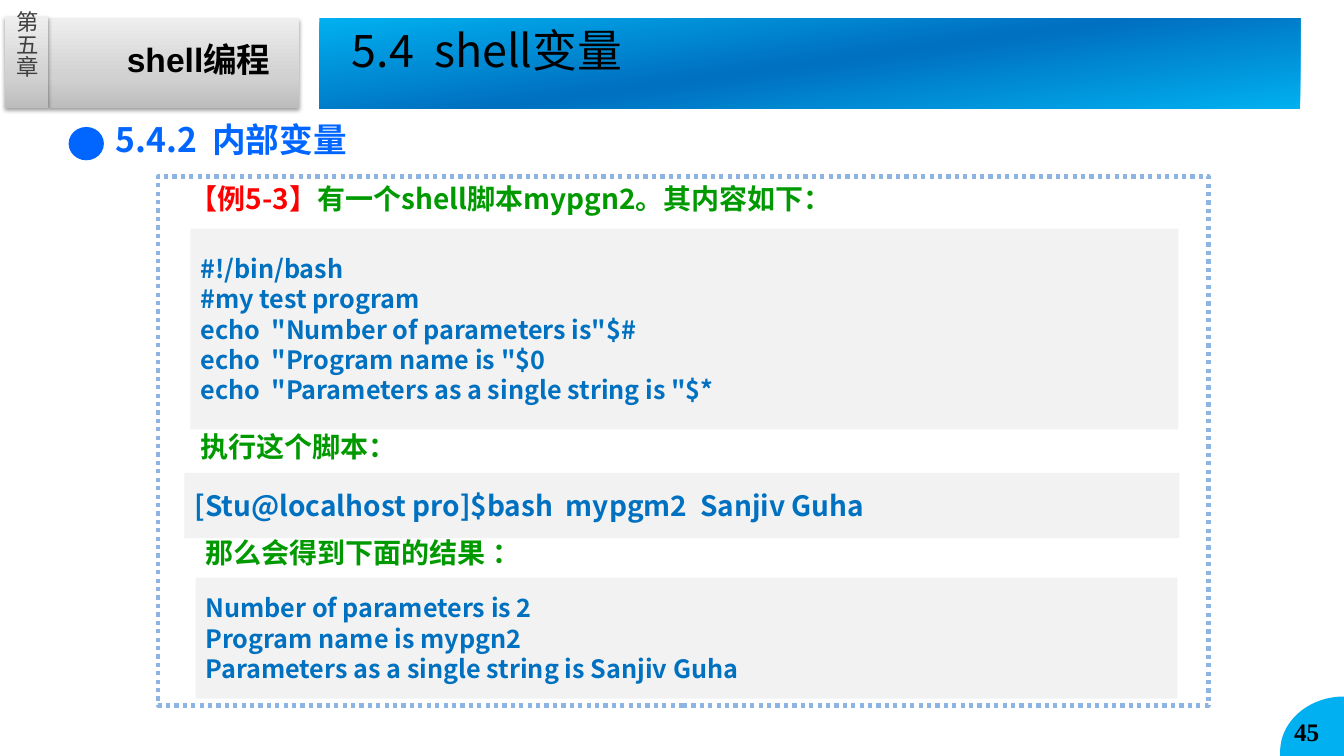
import math
from lxml import etree
from pptx import Presentation
from pptx.dml.color import RGBColor
from pptx.enum.dml import MSO_LINE
from pptx.enum.shapes import MSO_SHAPE
from pptx.enum.text import MSO_ANCHOR, MSO_AUTO_SIZE, PP_ALIGN
from pptx.oxml.ns import qn
from pptx.util import Pt

RECT, OVAL = MSO_SHAPE.RECTANGLE, MSO_SHAPE.OVAL
TOP, MIDDLE = MSO_ANCHOR.TOP, MSO_ANCHOR.MIDDLE
LEFT = PP_ALIGN.LEFT
DOTTED = MSO_LINE.ROUND_DOT
NO_FIT = MSO_AUTO_SIZE.NONE

SLIDE_W, SLIDE_H = 960, 540
SANS, ARIAL, SERIF = "Noto Sans CJK SC", "Arial", "Times New Roman"
COLORS = {
    "black": "000000", "grey": "404040", "white": "FFFFFF", "panel": "F2F2F2",
    "heading": "0066FF", "label": "009900", "example": "FF0000",
    "code": "0070C0", "frame": "8EB4E3", "corner": "00B0F0",
}
SILVER = [(0, "BDBDBD"), (35, "D1D1D1"), (100, "EEEEEE")]
BLUE = [(0, "00B0F0"), (50, "0070C0"), (100, "00B0F0")]

TITLE = "5.4  shell变量"
CHAPTER = "第五章"
COURSE = "shell编程"
HEADING = "5.4.2  内部变量"
PAGE = "45"

CHAPTER_TABS = [(34.6, 13, 179.3, 64), (3.6, 12.2, 31, 64.8)]
TITLE_BAR = (228.2, 13, 700.6, 64.8)
FRAME = (113, 126, 750.2, 378)

LABELS = [
    ((128.2, 126, 591, 36), [("【例5-3】", "example"),
                             ("有一个shell脚本mypgn2。其内容如下：", "label")]),
    ((136.1, 303.1, 582.5, 36), [("执行这个脚本：", "label")]),
    ((139.7, 378.7, 323.3, 36), [("那么会得到下面的结果 ：", "label")]),
]
PANELS = [
    ((136.1, 163.4, 705.6, 143.3), 18, [
        "#!/bin/bash",
        "#my test program",
        'echo  "Number of parameters is"$#',
        'echo  "Program name is "$0',
        'echo  "Parameters as a single string is "$*',
    ]),
    ((131.8, 337.7, 710.6, 46.8), 20, [
        "[Stu@localhost pro]$bash  mypgm2  Sanjiv Guha",
    ]),
    ((139.7, 412.6, 701.3, 86.4), 18, [
        "Number of parameters is 2",
        "Program name is mypgn2",
        "Parameters as a single string is Sanjiv Guha",
    ]),
]


def points(box):
    return [Pt(value) for value in box]


def rgb(name):
    return RGBColor.from_string(COLORS[name])


def add_block(shapes, box, fill, kind=RECT):
    block = shapes.add_shape(kind, *points(box))
    block.shadow.inherit = False
    block.line.fill.background()
    if fill:
        block.fill.solid()
        block.fill.fore_color.rgb = rgb(fill)
    return block


def add_gradient_block(shapes, box, stops, angle):
    block = add_block(shapes, box, None)
    gradient = etree.Element(qn("a:gradFill"), rotWithShape="1")
    stop_list = etree.SubElement(gradient, qn("a:gsLst"))
    for position, color in stops:
        stop = etree.SubElement(stop_list, qn("a:gs"), pos=str(position * 1000))
        etree.SubElement(stop, qn("a:srgbClr"), val=color)
    etree.SubElement(gradient, qn("a:lin"), ang=str(angle * 60000), scaled="0")
    block._element.spPr.find(qn("a:prstGeom")).addnext(gradient)
    return block


def add_drop_shadow(block):
    effects = block._element.spPr.find(qn("a:effectLst"))
    shadow = etree.SubElement(effects, qn("a:outerShdw"), blurRad=str(Pt(3.1)),
                              dist=str(Pt(1.6)), dir="5400000", rotWithShape="0")
    color = etree.SubElement(shadow, qn("a:srgbClr"), val=COLORS["black"])
    etree.SubElement(color, qn("a:alpha"), val="38000")


def write(holder, lines, size, bold=True, font=SANS, anchor=TOP, inset=True,
          spacing=1.0):
    frame = holder.text_frame
    frame.word_wrap = True
    frame.auto_size = NO_FIT
    frame.vertical_anchor = anchor
    side, edge = (7.2, 3.6) if inset else (0, 0)
    frame.margin_left = frame.margin_right = Pt(side)
    frame.margin_top = frame.margin_bottom = Pt(edge)
    for index, line in enumerate(lines):
        paragraph = frame.add_paragraph() if index else frame.paragraphs[0]
        paragraph.alignment = LEFT
        paragraph.line_spacing = spacing
        for text, color in line:
            run = paragraph.add_run()
            run.text = text
            run.font.size = Pt(size)
            run.font.bold = bold
            run.font.color.rgb = rgb(color)
            run.font.name = font
            east_asian = SANS if font == ARIAL else font
            etree.SubElement(run._r.get_or_add_rPr(), qn("a:ea"),
                             typeface=east_asian)


def add_text(shapes, box, lines, size, **style):
    holder = shapes.add_textbox(*points(box))
    write(holder, lines, size, **style)
    return holder


def add_corner(shapes):
    center_x, center_y, radius_x, radius_y = SLIDE_W, 537, 45.6, 39.5
    steps = 24
    arc = []
    for step in range(steps + 1):
        angle = math.pi / 2 * step / steps
        arc.append((Pt(center_x - radius_x * math.cos(angle)),
                    Pt(center_y - radius_y * math.sin(angle))))
    builder = shapes.build_freeform(Pt(center_x - radius_x), Pt(SLIDE_H))
    builder.add_line_segments(arc + [(Pt(SLIDE_W), Pt(SLIDE_H))], close=True)
    corner = builder.convert_to_shape()
    corner.shadow.inherit = False
    corner.fill.solid()
    corner.fill.fore_color.rgb = rgb("corner")
    corner.line.fill.background()


def main():
    deck = Presentation()
    deck.slide_width, deck.slide_height = Pt(SLIDE_W), Pt(SLIDE_H)
    slide = deck.slides.add_slide(deck.slide_layouts[5])
    shapes = slide.shapes

    for tab_box in CHAPTER_TABS:
        add_drop_shadow(add_gradient_block(shapes, tab_box, SILVER, 270))
    add_text(shapes, (83.5, 24.5, 145, 38.2), [[(COURSE, "black")]], 24, font=ARIAL)
    chapter = add_text(shapes, (8.6, 7.9, 20.9, 75.6), [[(CHAPTER, "grey")]], 16,
                       bold=False, anchor=MIDDLE, inset=False)
    chapter.text_frame._txBody.bodyPr.set("vert", "eaVert")

    add_corner(shapes)
    add_text(shapes, (917.3, 508.3, 42, 28.8), [[(PAGE, "black")]], 18, font=SERIF)

    add_gradient_block(shapes, TITLE_BAR, BLUE, 262)
    title = shapes.title
    title.left, title.top, title.width, title.height = points((251.3, 20.9, 367.2, 49.7))
    write(title, [[(TITLE, "black")]], 32, bold=False, inset=False, spacing=0.9)
    shapes._spTree.append(title._element)

    add_text(shapes, (75.6, 81.4, 304.6, 41.8), [[(HEADING, "heading")]], 24)
    add_block(shapes, (49, 90.7, 25.2, 23.8), "heading", OVAL)

    frame = add_block(shapes, FRAME, "white")
    frame.line.color.rgb = rgb("frame")
    frame.line.width = Pt(3)
    frame.line.dash_style = DOTTED

    for box, runs in LABELS:
        add_text(shapes, box, [runs], 20)
    for box, size, lines in PANELS:
        panel = add_block(shapes, box, "panel")
        write(panel, [[(line, "code")] for line in lines], size, anchor=MIDDLE)

    deck.save("out.pptx")


if __name__ == "__main__":
    main()
